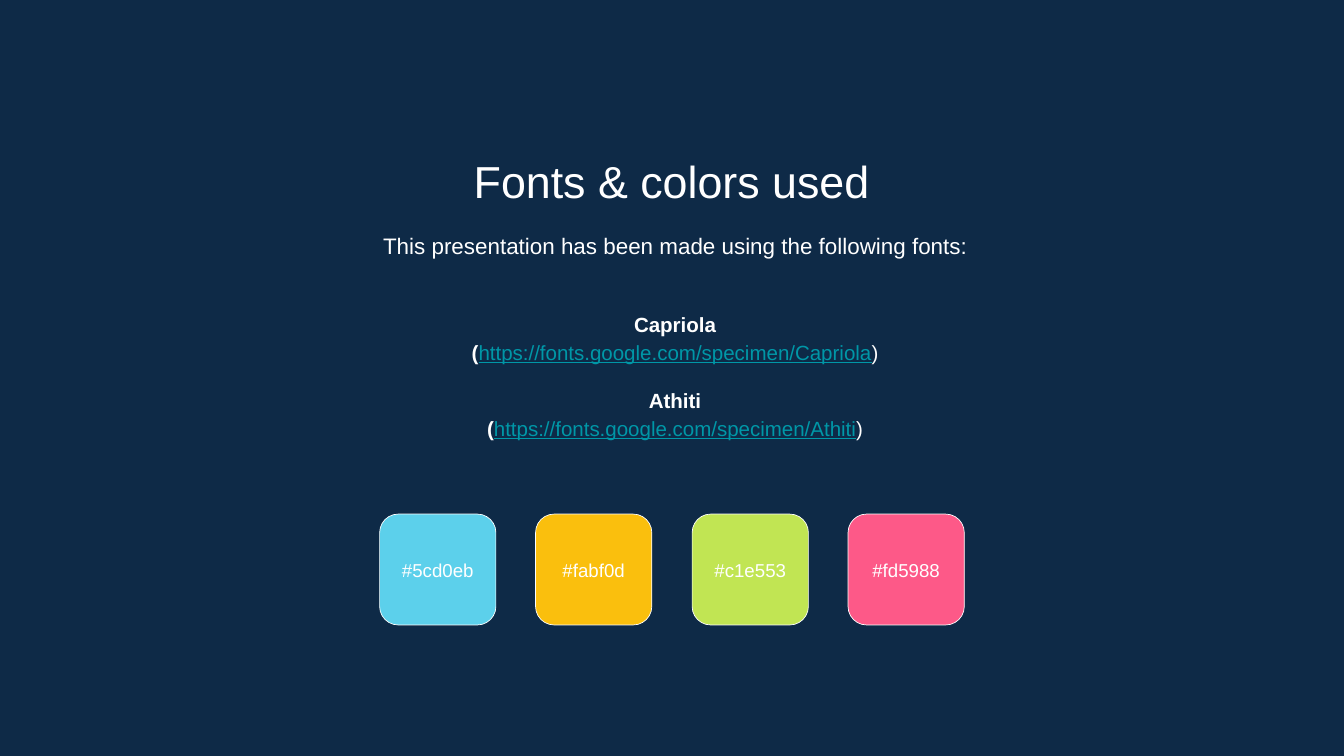
from pptx import Presentation
from pptx.dml.color import RGBColor
from pptx.enum.shapes import MSO_SHAPE
from pptx.enum.text import MSO_ANCHOR, PP_ALIGN
from pptx.util import Inches, Pt

COLORS = {
    "background": "0E2A47",
    "text": "FFFFFF",
    "link": "0097A7",
}
SWATCHES = ["5cd0eb", "fabf0d", "c1e553", "fd5988"]
FONTS_USED = ["Capriola", "Athiti"]


def rgb(value):
    return RGBColor.from_string(value.upper())


class SlideBuilder:
    """Holds the slide and its text style."""

    font_name = "Arial"
    inset = Inches(0.2)

    def __init__(self, slide):
        self.slide = slide
        slide.background.fill.solid()
        slide.background.fill.fore_color.rgb = rgb(COLORS["background"])

    def text_frame(self, left, top, width, height, anchor=MSO_ANCHOR.TOP):
        box = self.slide.shapes.add_textbox(
            Inches(left), Inches(top), Inches(width), Inches(height))
        frame = box.text_frame
        frame.word_wrap = True
        frame.vertical_anchor = anchor
        frame.margin_left = frame.margin_right = self.inset
        frame.margin_top = frame.margin_bottom = self.inset
        return frame

    def style(self, paragraph, size, line_spacing=1.0):
        paragraph.alignment = PP_ALIGN.CENTER
        paragraph.line_spacing = line_spacing
        paragraph.font.name = self.font_name
        paragraph.font.size = Pt(size)
        paragraph.font.color.rgb = rgb(COLORS["text"])

    def text(self, text, left, top, width, height, size,
             line_spacing=1.0, anchor=MSO_ANCHOR.TOP):
        frame = self.text_frame(left, top, width, height, anchor)
        paragraph = frame.paragraphs[0]
        paragraph.text = text
        self.style(paragraph, size, line_spacing)

    def font_list(self, names, left, top, width, height, size):
        frame = self.text_frame(left, top, width, height, MSO_ANCHOR.MIDDLE)
        for index, name in enumerate(names):
            # Font name
            heading = frame.add_paragraph() if index else frame.paragraphs[0]
            heading.text = name
            self.style(heading, size, 1.15)
            heading.font.bold = True
            if index:
                heading.space_before = Pt(21)

            # Web address in brackets
            address = frame.add_paragraph()
            self.style(address, size, 1.15)
            address.add_run().text = "("
            address.runs[0].font.bold = True
            link = address.add_run()
            link.text = f"https://fonts.google.com/specimen/{name}"
            link.font.color.rgb = rgb(COLORS["link"])
            link.font.underline = True
            address.add_run().text = ")"

    def swatch(self, color, left, top, width, height):
        shape = self.slide.shapes.add_shape(
            MSO_SHAPE.ROUNDED_RECTANGLE,
            Inches(left), Inches(top), Inches(width), Inches(height))
        shape.adjustments[0] = 0.167
        shape.shadow.inherit = False
        shape.fill.solid()
        shape.fill.fore_color.rgb = rgb(color)
        shape.line.color.rgb = rgb(COLORS["text"])
        shape.line.width = Pt(0.75)


def main():
    presentation = Presentation()
    presentation.slide_width = Inches(20)
    presentation.slide_height = Inches(11.25)
    slide = presentation.slides.add_slide(presentation.slide_layouts[6])
    builder = SlideBuilder(slide)

    # Title and introduction
    builder.text("Fonts & colors used", 2.29, 2.09, 15.41, 1.06, 48)
    builder.text("This presentation has been made using the following fonts:",
                 2.34, 3.19, 15.41, 0.96, 24, line_spacing=1.15)

    # Fonts with their addresses
    builder.font_list(FONTS_USED, 2.34, 4.2, 15.41, 2.74, 22)

    # Row of colour swatches with their codes
    first_left, pitch, width = 5.65, 2.324, 1.73
    for index, color in enumerate(SWATCHES):
        left = round(first_left + index * pitch, 2)
        builder.swatch(color, left, 7.65, width, 1.65)
        builder.text(f"#{color}", left, 8, width, 0.96, 20,
                     anchor=MSO_ANCHOR.MIDDLE)

    presentation.save("out.pptx")


if __name__ == "__main__":
    main()
